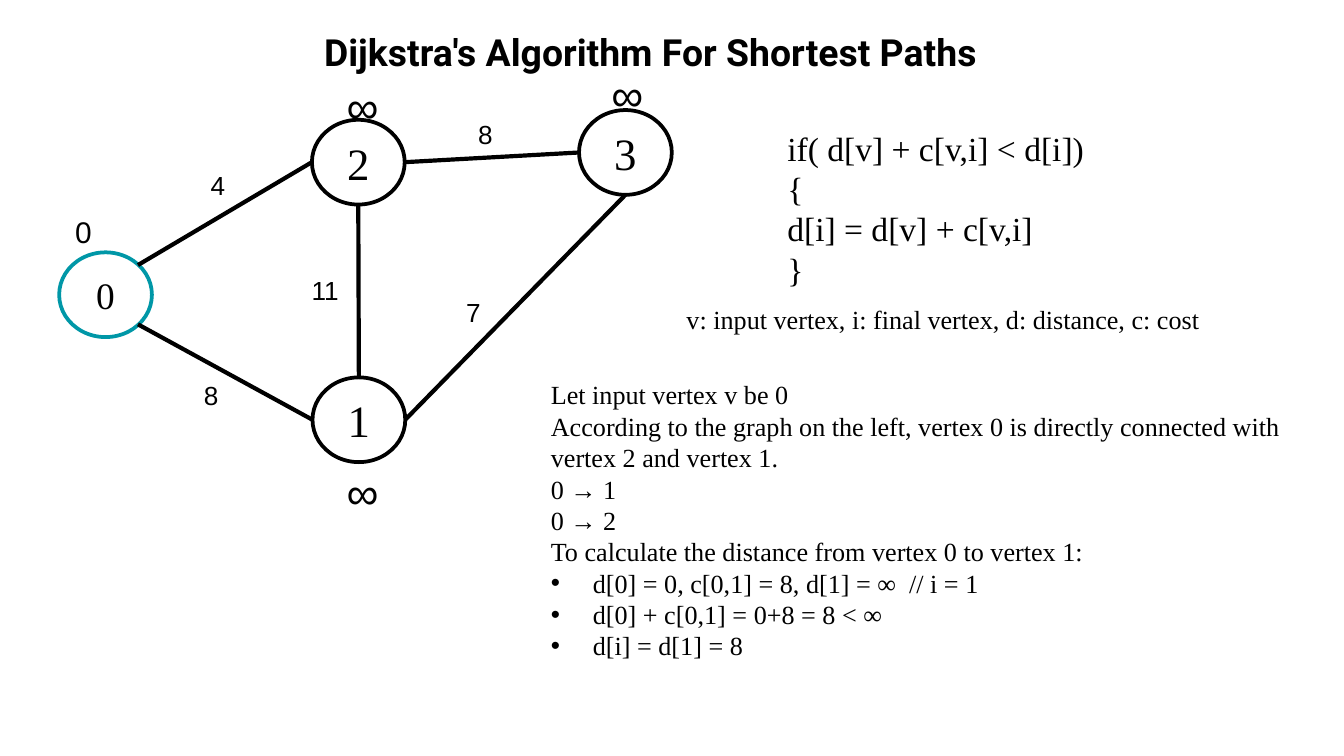
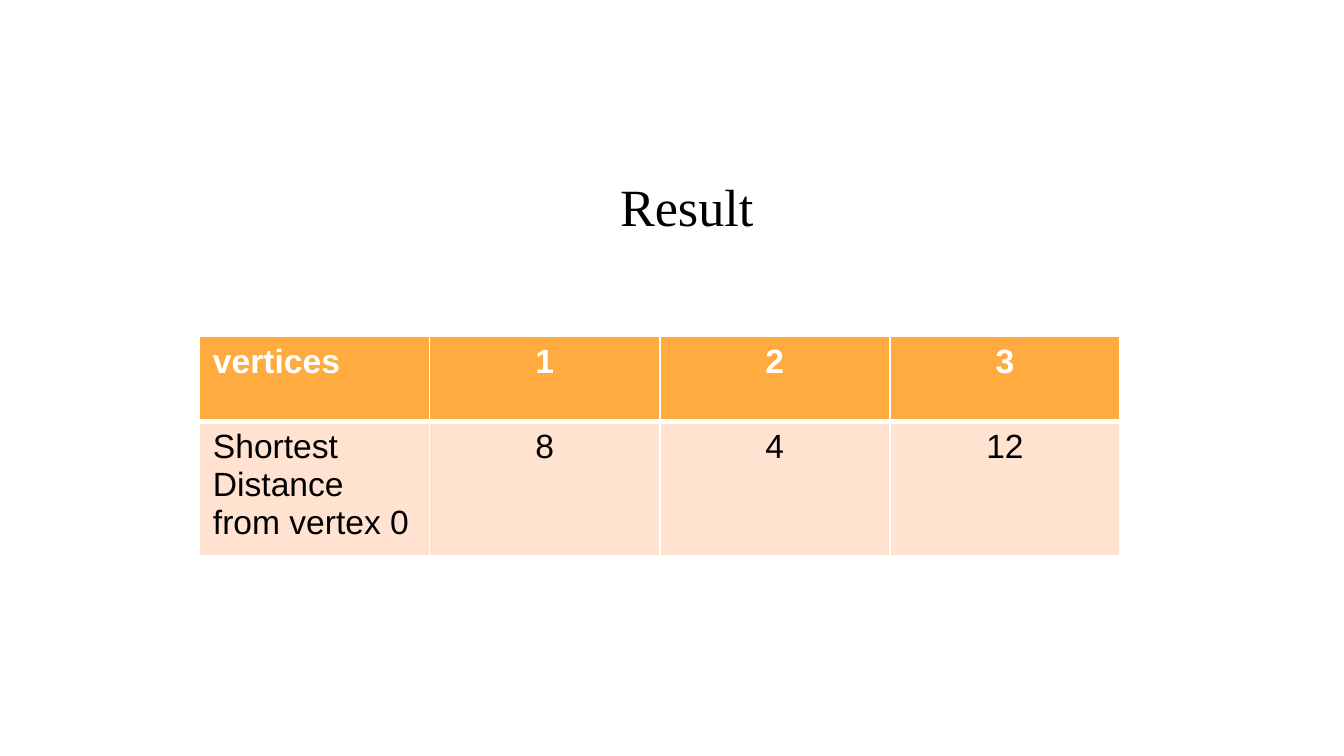
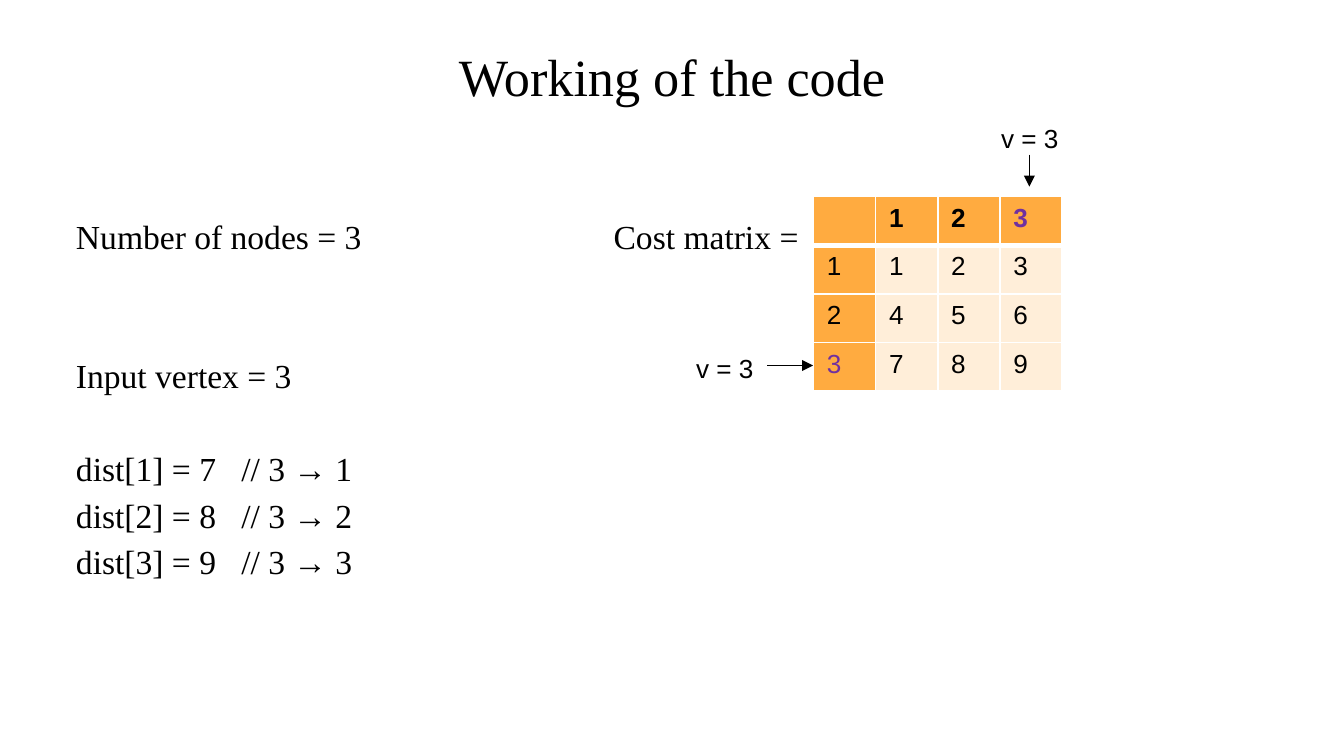
from lxml import etree
from pptx import Presentation
from pptx import util as u
from pptx.dml import color as dc
from pptx.enum import shapes as es, text as et
from pptx.oxml import ns

BLACK, WHITE, TEAL, PURPLE = "000000", "FFFFFF", "0097A7", "7030A0"
ORANGE, PEACH, CREAM = "FFAB40", "FFE2CF", "FFEED9"
SERIF, SANS = "Times New Roman", "Arial"
LEFT, MID = et.PP_ALIGN.LEFT, et.PP_ALIGN.CENTER
Pt = u.Pt


def paint(part, tint):
    """Give a fill, line fill or font fill a solid colour."""
    part.solid()
    part.fore_color.rgb = dc.RGBColor.from_string(tint)


def write(frame, lines, size, face=SERIF, tint=BLACK, bold=False, align=LEFT):
    """Fill a text frame with one paragraph per line."""
    for n, line in enumerate(lines):
        para = frame.add_paragraph() if n else frame.paragraphs[0]
        para.alignment = align
        run = para.add_run()
        run.text = line
        for key, val in {"size": Pt(size), "name": face, "bold": bold}.items():
            setattr(run.font, key, val)
        paint(run.font.fill, tint)


deck = Presentation()
deck.slide_width, deck.slide_height = Pt(720), Pt(405)

# Slides and their titles: text, left, top, size, face, bold
titles = [
    ("Dijkstra's Algorithm For Shortest Paths", 13, 8.6, 20, "Roboto", True),
    ("Result", 32.4, 86.4, 28, SERIF, False),
    ("Working of the code", 24.5, 16.6, 28, SERIF, False),
]
slides = []
for line, x, y, size, face, bold in titles:
    slide = deck.slides.add_slide(deck.slide_layouts[6])
    paint(slide.background.fill, WHITE)
    frame = slide.shapes.add_textbox(Pt(x), Pt(y), Pt(671), Pt(45.4)).text_frame
    frame.word_wrap = True
    frame.margin_top = frame.margin_bottom = Pt(7.2)
    write(frame, [line], size, face, bold=bold, align=MID)
    slides.append(slide)
graph, result, work = slides

# Graph nodes: name -> left, top, outline, text size
WIDE, HIGH = 49.7, 45.4
nodes = {
    "0": (31.7, 135.2, TEAL, 20),
    "2": (167.1, 64.2, BLACK, 24),
    "1": (167.4, 202.2, BLACK, 24),
    "3": (310.2, 59, BLACK, 24),
}
for name, (x, y, tint, size) in nodes.items():
    oval = graph.shapes.add_shape(
        es.MSO_SHAPE.OVAL, Pt(x), Pt(y), Pt(WIDE), Pt(HIGH))
    oval.shadow.inherit = False
    paint(oval.fill, WHITE)
    paint(oval.line.fill, tint)
    oval.line.width = Pt(2)
    oval.text_frame.vertical_anchor = et.MSO_ANCHOR.MIDDLE
    write(oval.text_frame, [name], size, align=MID)

# Lines: slide, start, end, width, arrowhead
spots = {"n": (0.5, 0), "s": (0.5, 1), "w": (0, 0.5), "e": (1, 0.5),
         "ne": (0.85, 0.15), "se": (0.85, 0.85)}
edges = [("0", "ne", "2", "w"), ("0", "se", "1", "w"), ("2", "s", "1", "n"),
         ("2", "e", "3", "w"), ("1", "e", "3", "s")]
lines = []
for a, out, b, into in edges:
    ends = [(nodes[n][0] + spots[s][0] * WIDE, nodes[n][1] + spots[s][1] * HIGH)
            for n, s in ((a, out), (b, into))]
    lines.append((graph, *ends, 2.25, False))
lines += [(work, (411, 195.8), (435.6, 195.8), 0.75, True),
          (work, (551.5, 82.8), (551.5, 100), 0.75, True)]
for slide, start, end, width, head in lines:
    link = slide.shapes.add_connector(
        es.MSO_CONNECTOR.STRAIGHT, *(Pt(v) for v in start + end))
    paint(link.line.fill, BLACK)
    link.line.width = Pt(width)
    if head:
        etree.SubElement(link.line._get_or_add_ln(), ns.qn("a:tailEnd"), type="triangle")
    etree.SubElement(link._element.spPr, ns.qn("a:effectLst"))

# Short labels: slide, text, left, top, width, height, size
labels = [
    (graph, "4", 105.8, 87.1, 22.3, 24.5, 14),
    (graph, "8", 102.2, 199.8, 22.3, 24.5, 14),
    (graph, "11", 159.8, 143.3, 30.2, 24.5, 14),
    (graph, "8", 249.1, 59.8, 22.3, 24.5, 14),
    (graph, "7", 242.6, 155.5, 22.3, 24.5, 14),
    (graph, "0", 33.1, 110.9, 39.6, 26.6, 16),
    (graph, "∞", 178.6, 38.9, 39.6, 36, 24),
    (graph, "∞", 178.6, 245.5, 39.6, 36, 24),
    (graph, "∞", 320.4, 32.4, 39.6, 36, 24),
    (work, "v = 3", 365.8, 185.4, 45.4, 24.5, 14),
    (work, "v = 3", 529.2, 61.9, 45.4, 24.5, 14),
]
for slide, line, x, y, w, h, size in labels:
    frame = slide.shapes.add_textbox(Pt(x), Pt(y), Pt(w), Pt(h)).text_frame
    frame.word_wrap = size > 14
    write(frame, [line], size, SANS)

# Text blocks: slide, left, top, width, height, size, lines
blocks = [
    (graph, 414.7, 64.8, 260.6, 94.3, 18,
     ["if( d[v] + c[v,i] < d[i])", "{", "d[i] = d[v] + c[v,i]", "}"]),
    (graph, 360.7, 159.1, 321.8, 24.5, 14,
     ["v: input vertex, i: final vertex, d: distance, c: cost"]),
    (graph, 288, 199.4, 411.8, 159.8, 14,
     ["Let input vertex v be 0",
      "According to the graph on the left, vertex 0 is directly connected with "
      "vertex 2 and vertex 1.",
      "0 → 1",
      "0 → 2",
      "To calculate the distance from vertex 0 to vertex 1:",
      "d[0] = 0, c[0,1] = 8, d[1] = ∞  // i = 1",
      "d[0] + c[0,1] = 0+8 = 8 < ∞",
      "d[i] = d[1] = 8"]),
    (work, 24.5, 105.1, 671, 266.4, 18,
     ["Number of nodes = 3\t\tCost matrix =",
      "Input vertex = 3",
      "dist[1] = 7   // 3 → 1",
      "dist[2] = 8   // 3 → 2",
      "dist[3] = 9   // 3 → 3"]),
]
for slide, x, y, w, h, size, rows in blocks:
    frame = slide.shapes.add_textbox(Pt(x), Pt(y), Pt(w), Pt(h)).text_frame
    frame.word_wrap = True
    write(frame, rows, size)
    if slide is graph:
        # Bullets on the distance steps
        for para in frame.paragraphs[5:]:
            props = para._p.get_or_add_pPr()
            props.set("marL", str(Pt(22.5)))
            props.set("indent", str(-Pt(22.5)))
            etree.SubElement(props, ns.qn("a:buFont"), typeface=SANS)
            etree.SubElement(props, ns.qn("a:buChar"), char="•")
    else:
        # Spacing and tab stops of the worked example
        frame.margin_left, frame.margin_top = Pt(16.2), Pt(7.2)
        for para, gap in zip(frame.paragraphs, (0, 50, 25, 0, 0)):
            para.line_spacing, para.space_before = 1.15, Pt(gap)
        tabs = etree.SubElement(
            frame.paragraphs[0]._p.get_or_add_pPr(), ns.qn("a:tabLst"))
        for stop in (216, 288):
            etree.SubElement(tabs, ns.qn("a:tab"), pos=str(Pt(stop)), algn="l")

# Tables: slide, left, top, column width, row heights, size, body fill, values
grids = [
    (result, 106.9, 180, 123.3, (45.9, 66), 18, PEACH,
     [["vertices", "1", "2", "3"],
      ["Shortest Distance from vertex 0", "8", "4", "12"]]),
    (work, 435.8, 105.3, 33.3, (26.1,) * 4, 14, CREAM,
     [["", "1", "2", "3"], ["1", "1", "2", "3"],
      ["2", "4", "5", "6"], ["3", "7", "8", "9"]]),
]
for slide, x, y, w, highs, size, body, rows in grids:
    main = slide is result
    table = slide.shapes.add_table(
        len(rows), 4, Pt(x), Pt(y), Pt(w * 4), Pt(sum(highs))).table
    for col in table.columns:
        col.width = Pt(w)
    for r, row in enumerate(rows):
        table.rows[r].height = Pt(highs[r])
        for c, val in enumerate(row):
            cell = table.cell(r, c)
            top = r == 0
            side = c == 0 and not main
            tint = WHITE if main and top else BLACK
            if not main and val == "3" and (top or side):
                tint = PURPLE
            if val:
                write(cell.text_frame, [val], size, SANS, tint, top,
                      MID if main and c else LEFT)
            else:
                etree.SubElement(cell.text_frame.paragraphs[0]._p,
                                 ns.qn("a:endParaRPr"), sz=str(size * 100))
            # White borders, thick between the header and the body
            props = cell._tc.get_or_add_tcPr()
            for edge in "LRTB":
                thick = (top and edge == "B") or (r == 1 and edge == "T")
                rule = etree.SubElement(props, ns.qn("a:ln" + edge),
                                        w=str(Pt(3 if thick else 1)))
                fill = etree.SubElement(rule, ns.qn("a:solidFill"))
                etree.SubElement(fill, ns.qn("a:srgbClr"), val=WHITE)
            paint(cell.fill, ORANGE if top or side else body)

deck.save("out.pptx")
